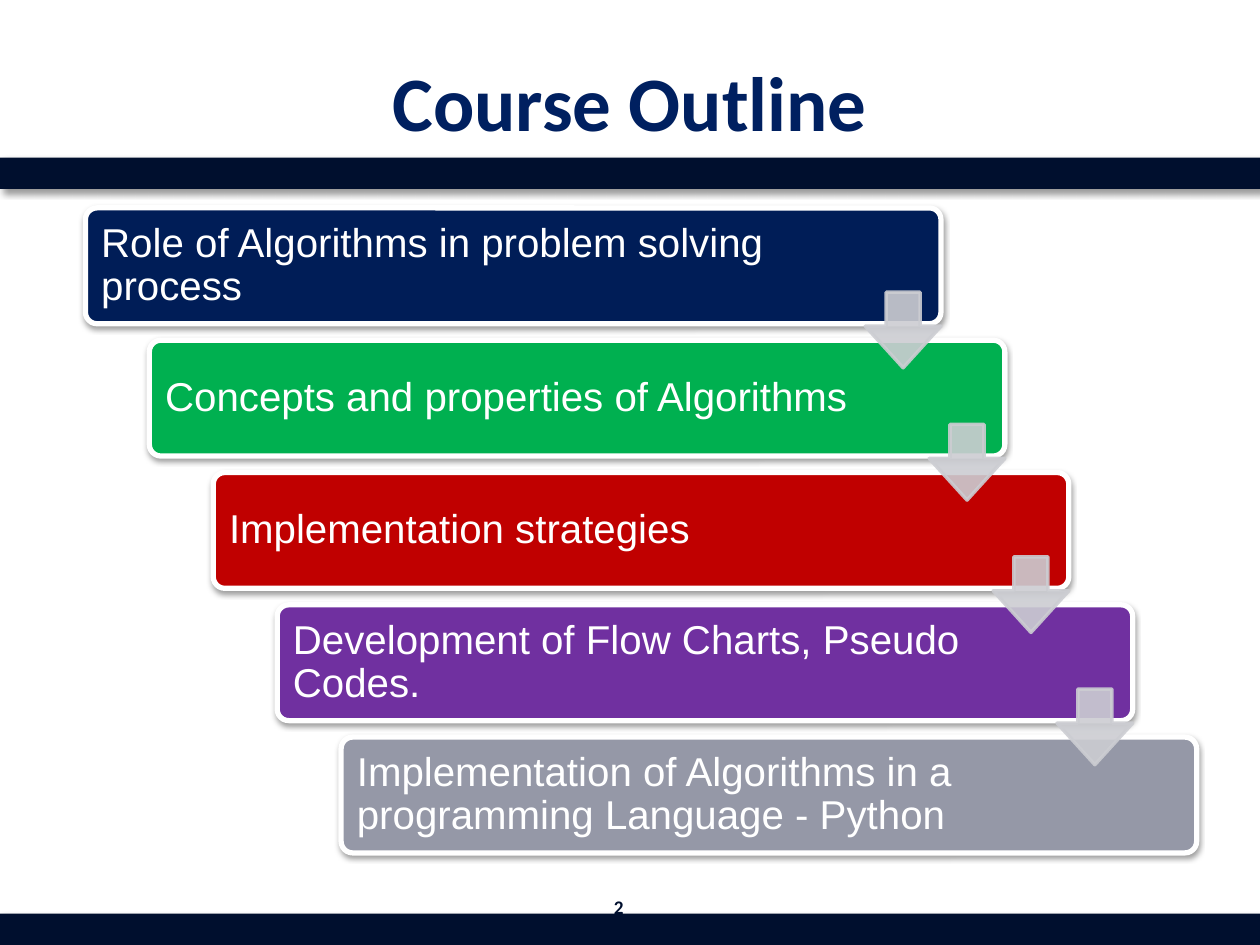
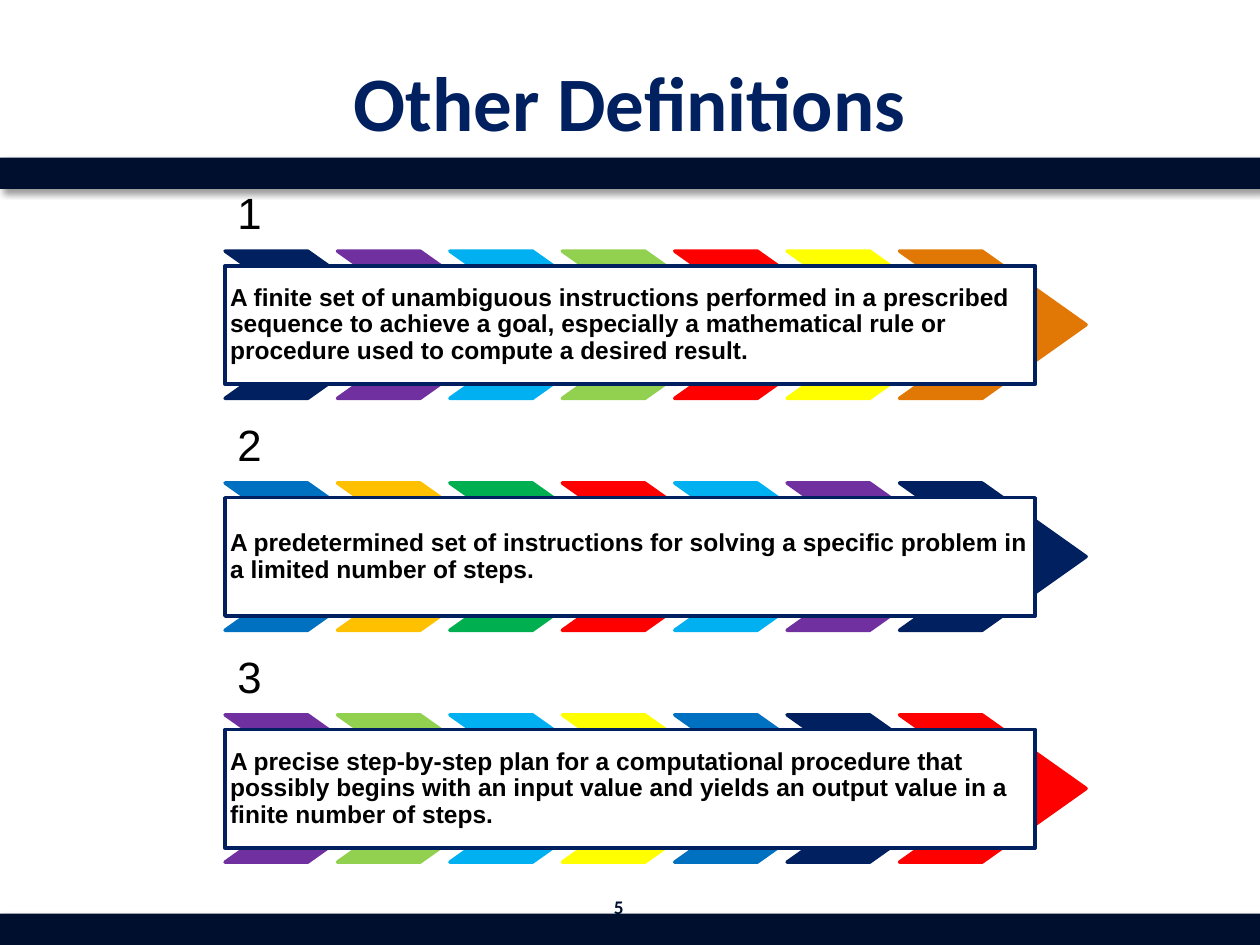
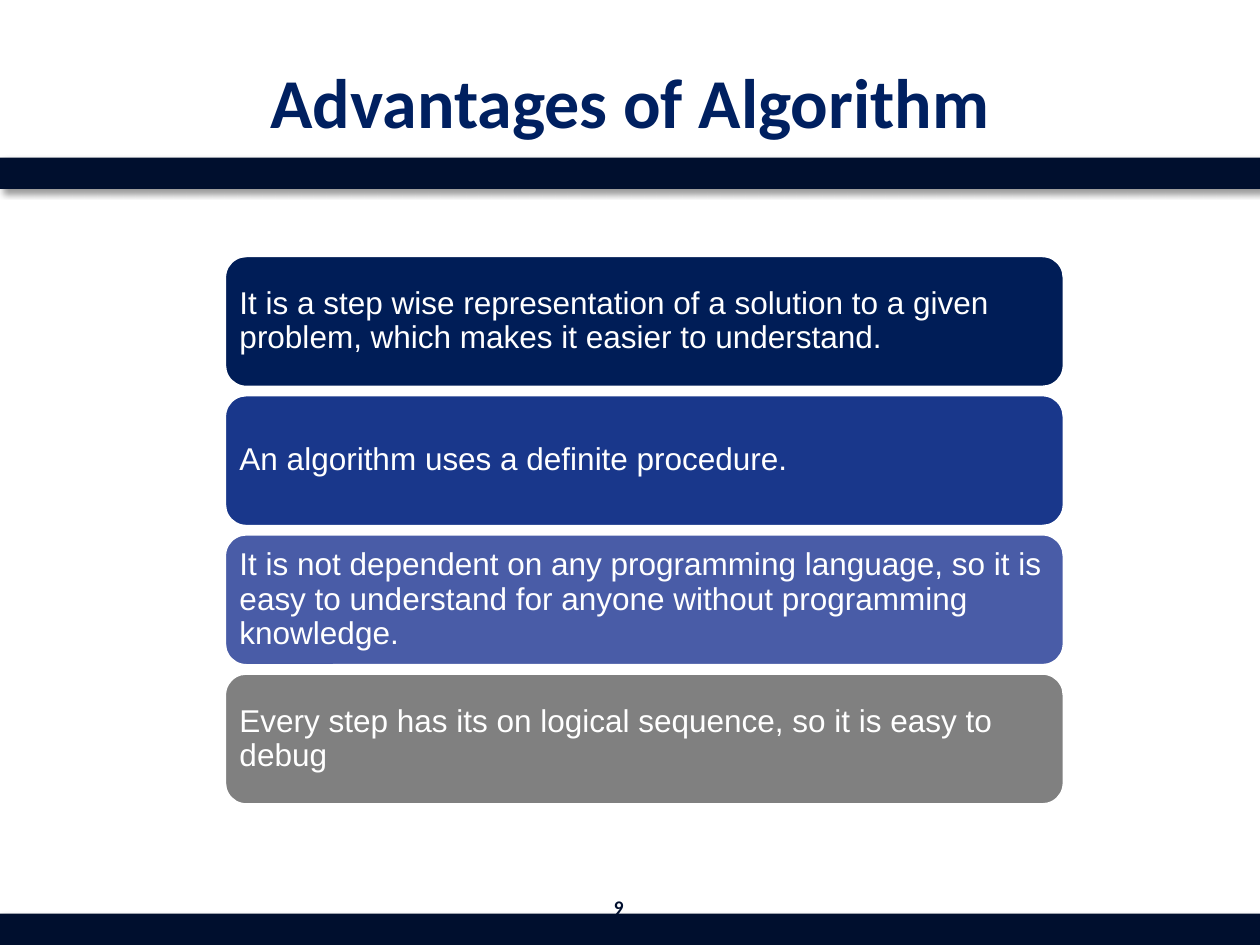
from dataclasses import dataclass

from lxml import etree
from pptx import Presentation
from pptx.dml.color import RGBColor
from pptx.enum.shapes import MSO_SHAPE
from pptx.enum.text import MSO_ANCHOR, PP_ALIGN
from pptx.oxml.ns import qn
from pptx.util import Pt

RECTANGLE = MSO_SHAPE.RECTANGLE
ROUNDED = MSO_SHAPE.ROUNDED_RECTANGLE
CHEVRON = MSO_SHAPE.CHEVRON
DOWN_ARROW = MSO_SHAPE.DOWN_ARROW
MIDDLE, BOTTOM = MSO_ANCHOR.MIDDLE, MSO_ANCHOR.BOTTOM
LEFT, CENTER = PP_ALIGN.LEFT, PP_ALIGN.CENTER


@dataclass(frozen=True)
class Theme:
    heading_font: str = "Calibri"
    body_font: str = "Arial"
    band: str = "000F2E"
    navy: str = "002060"
    deep_navy: str = "001D57"
    royal: str = "19378B"
    indigo: str = "495CA7"
    blue: str = "0070C0"
    sky: str = "00B0F0"
    green: str = "00B050"
    lime: str = "92D050"
    yellow: str = "FFFF00"
    gold: str = "FFC000"
    orange: str = "E17805"
    red: str = "FF0000"
    dark_red: str = "C00000"
    purple: str = "7030A0"
    slate: str = "9598A7"
    gray: str = "808080"
    arrow: str = "CCCDD2"
    white: str = "FFFFFF"
    black: str = "000000"
    title_size: float = 44
    long_title_size: float = 40
    page_size: float = 11
    step_size: float = 23
    number_size: float = 25
    definition_size: float = 14
    advantage_size: float = 18


THEME = Theme()


@dataclass(frozen=True)
class Box:
    left: float
    top: float
    width: float
    height: float

    def inner(self, left, top, width, height):
        """Return a box whose position is measured from this one."""
        return Box(self.left + left, self.top + top, width, height)

    def lengths(self):
        return Pt(self.left), Pt(self.top), Pt(self.width), Pt(self.height)


SLIDE = Box(0, 0, 720, 540)
TITLE = Box(36, 12.24, 648, 90)
PAGE_NUMBER = Box(338.4, 504, 30.24, 28.8)
BANDS = (Box(0, 522, 720, 18), Box(0, 90, 720, 18))
STAIRCASE = Box(48.8, 118.8, 635, 368.6)
DEFINITIONS = Box(128.6, 102.2, 492, 390)
ADVANTAGES = Box(128.2, 146, 480, 314)


def add_shape(slide, kind, box, fill, line=None, line_width=2, adjustments=()):
    shape = slide.shapes.add_shape(kind, *box.lengths())
    shape.shadow.inherit = False
    for index, value in enumerate(adjustments):
        shape.adjustments[index] = value
    shape.fill.solid()
    shape.fill.fore_color.rgb = RGBColor.from_string(fill)
    if line:
        shape.line.color.rgb = RGBColor.from_string(line)
        shape.line.width = Pt(line_width)
    else:
        shape.line.fill.background()
    return shape


def add_shadow(shape, blur, distance, angle, opacity):
    effects = shape._element.spPr.find(qn("a:effectLst"))
    shadow = etree.SubElement(
        effects, qn("a:outerShdw"), blurRad=str(Pt(blur)), dist=str(Pt(distance)),
        dir=str(angle * 60000), algn="ctr", rotWithShape="0")
    color = etree.SubElement(shadow, qn("a:srgbClr"), val=THEME.black)
    etree.SubElement(color, qn("a:alpha"), val=str(opacity * 1000))


def set_opacity(shape, opacity):
    """Apply one opacity to both the fill and the line."""
    for color in shape._element.spPr.iter(qn("a:srgbClr")):
        etree.SubElement(color, qn("a:alpha"), val=str(opacity * 1000))


def set_text(shape, text, size, color, font=THEME.body_font, bold=False,
             align=LEFT, anchor=MIDDLE, margins=(7.2, 7.2, 7.2, 7.2), spacing=0.9):
    frame = shape.text_frame
    frame.word_wrap = True
    frame.vertical_anchor = anchor
    (frame.margin_left, frame.margin_top,
     frame.margin_right, frame.margin_bottom) = map(Pt, margins)
    frame.text = text
    paragraph = frame.paragraphs[0]
    paragraph.alignment = align
    paragraph.line_spacing = spacing
    run_font = paragraph.runs[0].font
    run_font.name = font
    run_font.size = Pt(size)
    run_font.bold = bold
    run_font.color.rgb = RGBColor.from_string(color)


def add_heading_text(slide, box, text, size, color):
    set_text(slide.shapes.add_textbox(*box.lengths()), text, size, color,
             THEME.heading_font, True, CENTER, margins=(7.2, 3.6, 7.2, 3.6), spacing=1.0)


def add_framed_slide(presentation, title, page, title_size=THEME.title_size):
    slide = presentation.slides.add_slide(presentation.slide_layouts[6])
    for band in BANDS:
        add_shadow(add_shape(slide, RECTANGLE, band, THEME.band), 4, 3, 45, 40)
    add_heading_text(slide, TITLE, title, title_size, THEME.navy)
    add_heading_text(slide, PAGE_NUMBER, page, THEME.page_size, THEME.band)
    return slide


def add_staircase(slide, box, steps):
    """Place descending steps, then the arrows that overlap each neighbouring pair."""
    width, height, arrow_side = 488.9, 66.2, 43.2
    shift = (box.width - width) / (len(steps) - 1)
    drop = (box.height - height) / (len(steps) - 1)
    places = [box.inner(index * shift, index * drop, width, height)
              for index in range(len(steps))]
    for place, (text, color) in zip(places, steps):
        step = add_shape(slide, ROUNDED, place, color, THEME.white, 3, (0.1,))
        add_shadow(step, 3.1, 1.6, 90, 38)
        set_text(step, text, THEME.step_size, THEME.white, margins=(7.2, 7.2, 86.4, 7.2))
    for place in places[:-1]:
        arrow_box = place.inner(width - arrow_side, 48.2, arrow_side, arrow_side)
        arrow = add_shape(slide, DOWN_ARROW, arrow_box, THEME.arrow, THEME.arrow)
        arrow.adjustments[0], arrow.adjustments[1] = 0.45, 0.55
        set_opacity(arrow, 90)


def add_definition(slide, box, number, text, colors):
    label = slide.shapes.add_textbox(*box.inner(0, 0, 456.5, 41.8).lengths())
    set_text(label, number, THEME.number_size, THEME.black, anchor=BOTTOM)
    chevron_width = 106.6
    pitch = (box.width - chevron_width) / (len(colors) - 1)
    for index, color in enumerate(colors):
        add_shape(slide, CHEVRON, box.inner(index * pitch, 41.3, chevron_width, 84.2),
                  color, color, adjustments=(0.706,))
    panel = add_shape(slide, RECTANGLE, box.inner(0, 49.7, 463, 67.7),
                      THEME.white, THEME.navy)
    set_text(panel, text, THEME.definition_size, THEME.black, bold=True,
             margins=(2.9, 2.9, 2.9, 2.9))


def add_definitions(slide, box, definitions):
    pitch = 132.5
    for index, (text, colors) in enumerate(definitions):
        add_definition(slide, box.inner(0, index * pitch, box.width, pitch),
                       str(index + 1), text, colors)


def add_advantages(slide, box, advantages):
    height = 75.4
    pitch = (box.height - height) / (len(advantages) - 1)
    for index, (text, color) in enumerate(advantages):
        card = add_shape(slide, ROUNDED, box.inner(0, index * pitch, box.width, height),
                         color, THEME.white)
        set_text(card, text, THEME.advantage_size, THEME.white, margins=(5, 5, 5, 5))


STEPS = (
    ("Role of Algorithms in problem solving process", THEME.deep_navy),
    ("Concepts and properties of Algorithms", THEME.green),
    ("Implementation strategies", THEME.dark_red),
    ("Development of Flow Charts, Pseudo Codes.", THEME.purple),
    ("Implementation of Algorithms in a programming Language - Python", THEME.slate),
)
DEFINITION_ROWS = (
    ("A finite set of unambiguous instructions performed in a prescribed sequence to "
     "achieve a goal, especially a mathematical rule or procedure used to compute a "
     "desired result.",
     (THEME.navy, THEME.purple, THEME.sky, THEME.lime,
      THEME.red, THEME.yellow, THEME.orange)),
    ("A predetermined set of instructions for solving a specific problem in a limited "
     "number of steps.",
     (THEME.blue, THEME.gold, THEME.green, THEME.red,
      THEME.sky, THEME.purple, THEME.navy)),
    ("A precise step-by-step plan for a computational procedure that possibly begins "
     "with an input value and yields an output value in a finite number of steps.",
     (THEME.purple, THEME.lime, THEME.sky, THEME.yellow,
      THEME.blue, THEME.navy, THEME.red)),
)
ADVANTAGE_CARDS = (
    ("It is a step wise representation of a solution to a given problem, which makes "
     "it easier to understand.", THEME.deep_navy),
    ("An algorithm uses a definite procedure.", THEME.royal),
    ("It is not dependent on any programming language, so it is easy to understand "
     "for anyone without programming knowledge.", THEME.indigo),
    ("Every step has its on logical sequence, so it is easy to debug", THEME.gray),
)


def main():
    presentation = Presentation()
    presentation.slide_width, presentation.slide_height = Pt(SLIDE.width), Pt(SLIDE.height)
    add_staircase(add_framed_slide(presentation, "Course Outline", "2"), STAIRCASE, STEPS)
    add_definitions(add_framed_slide(presentation, "Other Definitions", "5"),
                    DEFINITIONS, DEFINITION_ROWS)
    add_advantages(add_framed_slide(presentation, "Advantages of Algorithm", "9",
                                    THEME.long_title_size),
                   ADVANTAGES, ADVANTAGE_CARDS)
    presentation.save("out.pptx")


if __name__ == "__main__":
    main()
